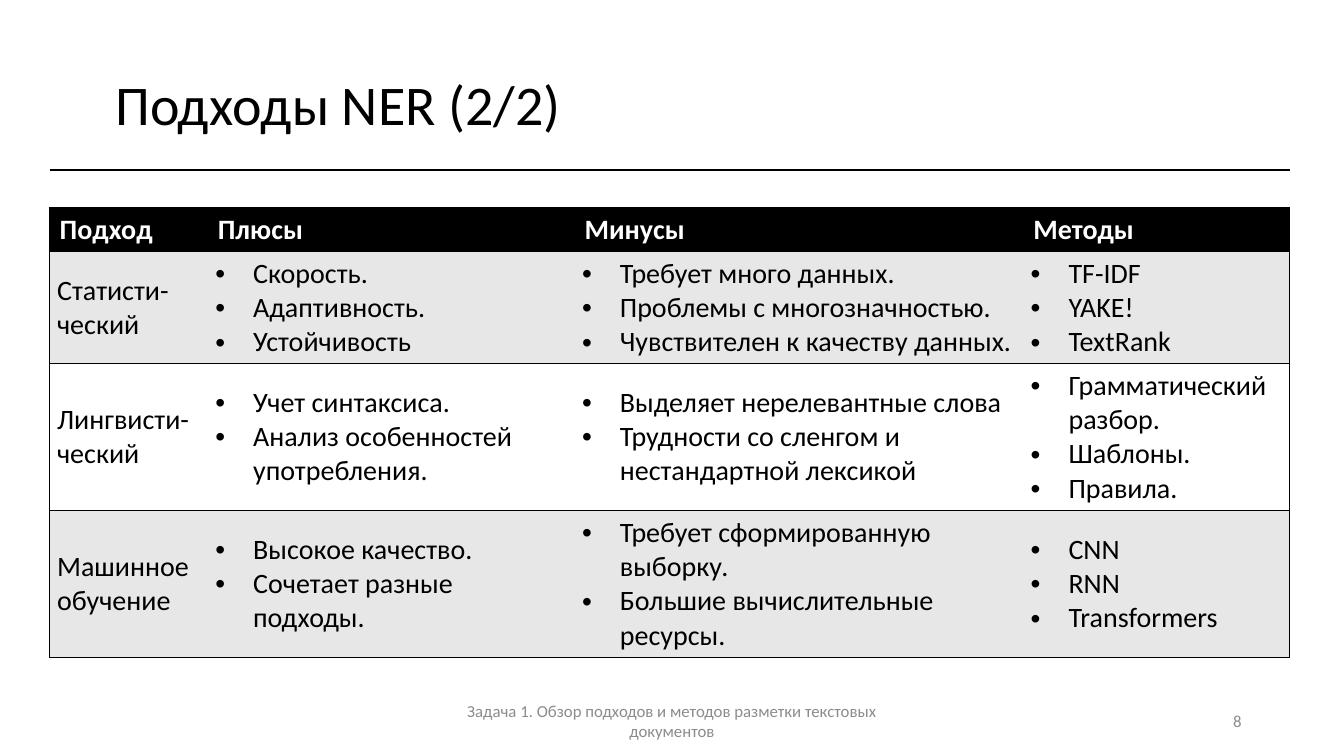
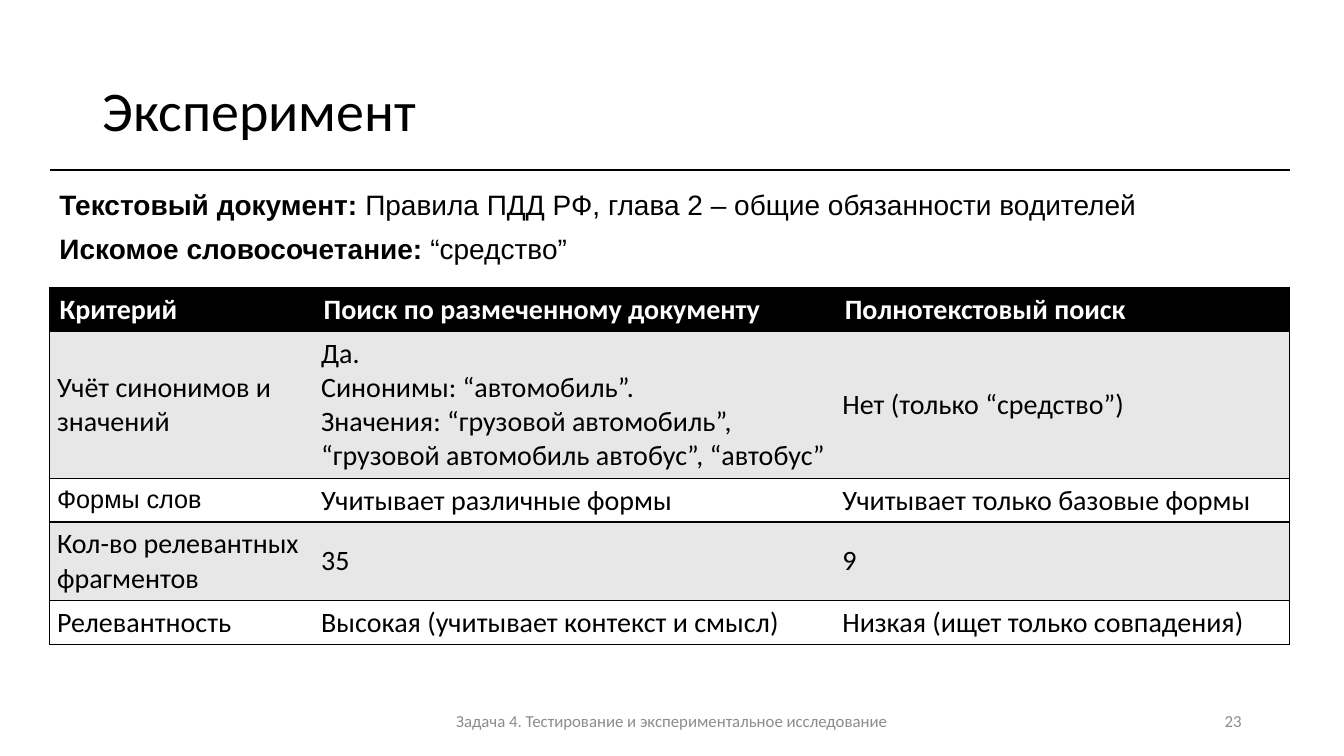
from lxml.etree import SubElement
from pptx import Presentation
from pptx.dml.color import RGBColor
from pptx.enum.shapes import MSO_CONNECTOR
from pptx.enum.text import MSO_ANCHOR as ANCHOR, PP_ALIGN as ALIGN
from pptx.oxml import parse_xml
from pptx.oxml.ns import nsdecls, qn
from pptx.util import Pt

BLACK = RGBColor(0x00, 0x00, 0x00)
WHITE = RGBColor(0xFF, 0xFF, 0xFF)
BAND = RGBColor(0xE7, 0xE7, 0xE7)
GRAY = RGBColor(0x8C, 0x8C, 0x8C)
CALIBRI = "Calibri"
ARIAL = "Arial"
LEFT, RIGHT = 35.4, 921.4
RULE_Y = 121.7
FOOTER_Y, FOOTER_H = 500.5, 28.75
INDENT = 27


class Deck:
    def __init__(self):
        self.prs = Presentation()
        self.prs.slide_width = Pt(960)
        self.prs.slide_height = Pt(540)
        self.slide = None

    def new_slide(self, number, footer):
        self.slide = self.prs.slides.add_slide(self.prs.slide_layouts[6])
        self.rule()
        self.footer_text(678, 216, str(number), ALIGN.RIGHT)
        self.footer_text(318, 324, footer, ALIGN.CENTER)

    def run(self, p, text, size=20, font=CALIBRI, color=BLACK, bold=False):
        for i, line in enumerate(text.split("\n")):
            if i:
                p.add_line_break()
            r = p.add_run()
            r.text = line
            f = r.font
            f.size, f.name, f.bold = Pt(size), font, bold
            f.color.rgb = color

    def box(self, x, y, w, h, anchor=ANCHOR.MIDDLE):
        sp = self.slide.shapes.add_textbox(Pt(x), Pt(y), Pt(w), Pt(h))
        tf = sp.text_frame
        tf.word_wrap = True
        tf.vertical_anchor = anchor
        return tf

    def rule(self):
        line = self.slide.shapes.add_connector(
            MSO_CONNECTOR.STRAIGHT, Pt(LEFT), Pt(RULE_Y), Pt(RIGHT), Pt(RULE_Y))
        line.line.color.rgb = BLACK
        line.line.width = Pt(1.5)
        SubElement(line._element.spPr, qn("a:effectLst"))

    def footer_text(self, x, w, text, align):
        p = self.box(x, FOOTER_Y, w, FOOTER_H).paragraphs[0]
        p.alignment = align
        self.run(p, text, size=12, color=GRAY)

    def title(self, text, x, y):
        p = self.box(x, y, 828, 104.4).paragraphs[0]
        p.line_spacing = 0.9
        self.run(p, text, size=40)

    def facts(self, y, facts):
        tf = self.box(LEFT, y, 866, 61, ANCHOR.TOP)
        for i, (label, value) in enumerate(facts):
            p = tf.add_paragraph() if i else tf.paragraphs[0]
            p.alignment = ALIGN.JUSTIFY
            p.line_spacing = 0.9
            if i:
                p.space_before = Pt(10)
            self.run(p, label + " ", font=ARIAL, bold=True)
            self.run(p, value, font=ARIAL)

    def bullet(self, p):
        pPr = p._p.get_or_add_pPr()
        pPr.set("marL", str(Pt(INDENT)))
        pPr.set("indent", str(-Pt(INDENT)))
        SubElement(pPr, qn("a:buFont")).set("typeface", ARIAL)
        SubElement(pPr, qn("a:buChar")).set("char", "•")

    def borders(self, cell, sides):
        tcPr = cell._tc.get_or_add_tcPr()
        for i, side in enumerate("LRTB"):
            fill = "<a:noFill/>"
            if side in sides:
                fill = f'<a:solidFill><a:srgbClr val="{BLACK}"/></a:solidFill>'
            tcPr.insert(i, parse_xml(
                f'<a:ln{side} {nsdecls("a")} w="{Pt(1)}">{fill}</a:ln{side}>'))

    def table(self, y, widths, heights, rows, bulleted=False, fonts=None):
        frame = self.slide.shapes.add_table(
            len(rows), len(widths), Pt(LEFT), Pt(y), Pt(sum(widths)), Pt(sum(heights)))
        table = frame.table
        table.first_row = table.horz_banding = False
        for column, width in zip(table.columns, widths):
            column.width = Pt(width)
        for row, height in zip(table.rows, heights):
            row.height = Pt(height)
        last = len(widths) - 1
        for i, row in enumerate(rows):
            header = i == 0
            for j, content in enumerate(row):
                cell = table.cell(i, j)
                cell.fill.solid()
                cell.fill.fore_color.rgb = BLACK if header else BAND if i % 2 else WHITE
                sides = "TB" + "L" * (j == 0) + "R" * (j == last)
                self.borders(cell, sides)
                if not header:
                    cell.vertical_anchor = ANCHOR.MIDDLE
                    cell.margin_left = cell.margin_right = Pt(5.4)
                items = [content] if isinstance(content, str) else content
                tf = cell.text_frame
                for k, text in enumerate(items):
                    p = tf.add_paragraph() if k else tf.paragraphs[0]
                    if bulleted and not header and j:
                        self.bullet(p)
                    size, font = (fonts or {}).get(text, (20, CALIBRI))
                    self.run(p, text, size, font, WHITE if header else BLACK, header)


def approaches(s):
    s.new_slide(8, "Задача 1. Обзор подходов и методов разметки текстовых документов")
    s.title("Подходы NER (2/2)", 75.3, 24.5)
    s.table(148.5, [113, 262, 320.5, 190.3], [31, 80, 105, 105], [
        ["Подход", "Плюсы", "Минусы", "Методы"],
        ["Статисти-ческий",
         ["Скорость.", "Адаптивность.", "Устойчивость"],
         ["Требует много данных.", "Проблемы с многозначностью.",
          "Чувствителен к качеству данных."],
         ["TF-IDF", "YAKE!", "TextRank"]],
        ["Лингвисти-ческий",
         ["Учет синтаксиса.", "Анализ особенностей употребления."],
         ["Выделяет нерелевантные слова",
          "Трудности со сленгом и нестандартной лексикой"],
         ["Грамматический разбор.", "Шаблоны.", "Правила."]],
        ["Машинное обучение",
         ["Высокое качество.", "Сочетает разные подходы."],
         ["Требует сформированную выборку.", "Большие вычислительные ресурсы."],
         ["CNN", "RNN", "Transformers"]],
    ], bulleted=True)


def experiment(s):
    s.new_slide(23, "Задача 4. Тестирование и экспериментальное исследование")
    s.title("Эксперимент", 66.2, 28.8)
    s.table(205.4, [188.6, 372.3, 324.9], [31, 105, 31, 56, 31], [
        ["Критерий", "Поиск по размеченному документу", "Полнотекстовый поиск"],
        ["Учёт синонимов и значений",
         ["Да.\nСинонимы: “автомобиль”.",
          "Значения: “грузовой автомобиль”, “грузовой автомобиль автобус”, “автобус”"],
         "Нет (только “средство”)"],
        ["Формы слов", "Учитывает различные формы", "Учитывает только базовые формы"],
        ["Кол-во релевантных фрагментов", "35", "9"],
        ["Релевантность", "Высокая (учитывает контекст и смысл)",
         "Низкая (ищет только совпадения)"],
    ], fonts={"Формы слов": (18, ARIAL)})
    s.facts(133.2, [
        ("Текстовый документ:", "Правила ПДД РФ, глава 2 – общие обязанности водителей"),
        ("Искомое словосочетание:", "“средство”"),
    ])


def main():
    s = Deck()
    approaches(s)
    experiment(s)
    s.prs.save("out.pptx")


if __name__ == "__main__":
    main()
